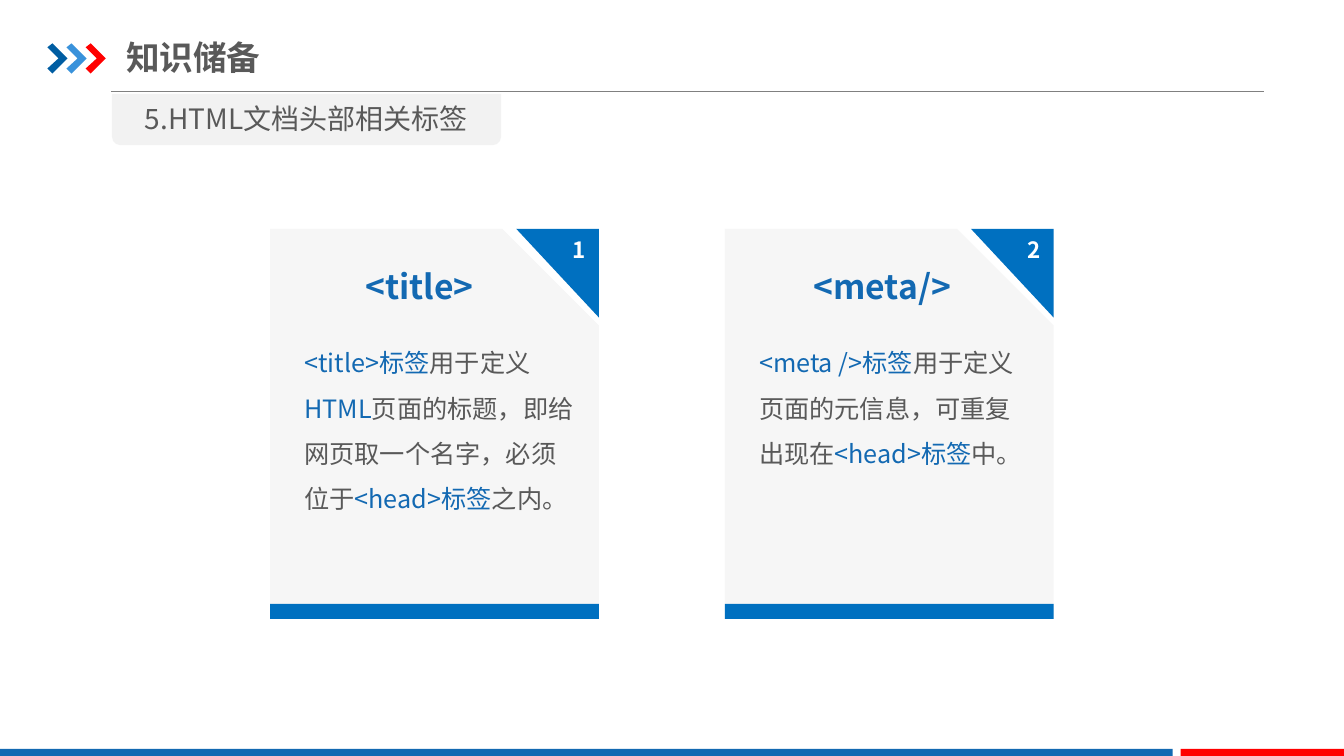
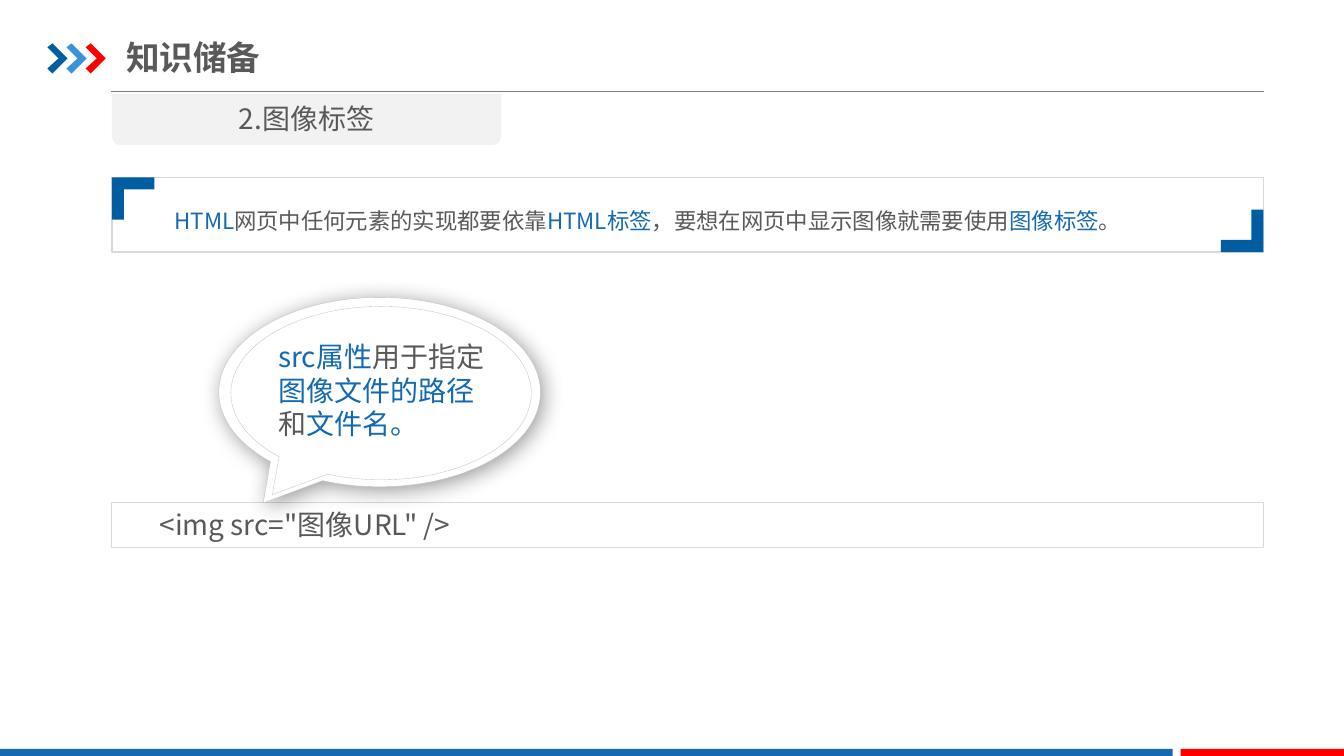
from dataclasses import dataclass
from itertools import cycle

from lxml.etree import SubElement
from pptx import Presentation
from pptx.dml.color import RGBColor as RGB
from pptx.enum.dml import MSO_LINE as DASH
from pptx.enum.shapes import MSO_CONNECTOR as CONN, MSO_SHAPE as SHAPE
from pptx.enum.text import MSO_ANCHOR as ANCHOR, PP_ALIGN as ALIGN
from pptx.oxml.ns import qn
from pptx.util import Inches, Pt


@dataclass(frozen=True)
class Theme:
    font: str = "Noto Sans CJK SC"
    ink: str = "595959"
    accent: str = "1369B2"
    navy: str = "005DA2"
    sky: str = "3992DB"
    red: str = "FF0000"
    card_blue: str = "0070C0"
    card_gray: str = "F6F6F6"
    tab_gray: str = "F2F2F2"
    rule: str = "808080"
    border: str = "D9D9D9"
    bubble_edge: str = "BFBFBF"
    white: str = "FFFFFF"
    title: int = 24
    heading: int = 20
    body: int = 18
    small: int = 16


T = Theme()
PAD = (0.1, 0.05, 0.1, 0.05)


# ---- Shared helpers ----
def put(obj, values):
    for name, value in values.items():
        setattr(obj, name, value)


def write(sp, text, size, colors=(T.ink,), bold=False, align=ALIGN.LEFT,
          spacing=1.0, anchor=ANCHOR.TOP, pad=PAD):
    """Fill a shape with one paragraph; '|' moves on to the next colour."""
    tf = sp.text_frame
    put(tf, {"word_wrap": True, "vertical_anchor": anchor})
    sides = ("margin_left", "margin_top", "margin_right", "margin_bottom")
    put(tf, dict(zip(sides, map(Inches, pad))))
    p = tf.paragraphs[0]
    put(p, {"alignment": align, "line_spacing": spacing})
    for part, color in zip(text.split("|"), cycle(colors)):
        r = p.add_run()
        r.text = part
        put(r.font, {"name": T.font, "size": Pt(size), "bold": bold})
        r.font.color.rgb = RGB.from_string(color)
        SubElement(r.font._element, qn("a:ea"), typeface=T.font)


def paint(sp, fill=None, line=None, width=0.75, dash=None):
    sp.shadow.inherit = False
    if fill:
        sp.fill.solid()
        sp.fill.fore_color.rgb = RGB.from_string(fill)
    else:
        sp.fill.background()
    if line:
        sp.line.color.rgb = RGB.from_string(line)
        put(sp.line, {"width": Pt(width), "dash_style": dash})
    else:
        sp.line.fill.background()
    return sp


def shape(shapes, kind, box, adj=(), **look):
    sp = shapes.add_shape(kind, *map(Inches, box))
    for i, value in enumerate(adj):
        sp.adjustments[i] = value
    return paint(sp, **look)


def outline(shapes, x, y, points, fill):
    """Closed polygon whose points are offsets from (x, y)."""
    pts = [(Inches(x + dx), Inches(y + dy)) for dx, dy in points]
    builder = shapes.build_freeform(*pts[0])
    builder.add_line_segments(pts[1:], close=True)
    return paint(builder.convert_to_shape(), fill)


def label(shapes, box, text, size, **style):
    write(shapes.add_textbox(*map(Inches, box)), text, size, **style)


# ---- Frame of every slide: title, rule, chevrons, footer, section tab ----
def add_slide(prs, title, section):
    s = prs.slides.add_slide(prs.slide_layouts[5])
    shapes = s.shapes

    # Title
    head = shapes.title
    box = map(Inches, (1.25, 0.29, 4.26, 0.55))
    put(head, dict(zip(("left", "top", "width", "height"), box)))
    write(head, title, T.title, bold=True, anchor=ANCHOR.MIDDLE,
          pad=(0, 0.07, 0, 0.07))

    # Rule under the title
    rule = shapes.add_connector(
        CONN.STRAIGHT, *map(Inches, (1.1, 0.91, 12.54, 0.91)))
    rule.line.color.rgb = RGB.from_string(T.rule)
    rule.line.width = Pt(0.75)
    SubElement(rule._element.spPr, qn("a:effectLst"))

    # Chevrons
    chevron = [(0, 0.04), (0.05, 0), (0.2, 0.15), (0.05, 0.3),
               (0, 0.25), (0.11, 0.15)]
    marks = shapes.add_group_shape().shapes
    for i, color in enumerate((T.navy, T.sky, T.red)):
        outline(marks, 0.47 + 0.19 * i, 0.43, chevron, color)

    # Footer band
    for left, width, color in ((0, 11.63, T.accent), (11.71, 1.63, T.red)):
        shape(shapes, SHAPE.RECTANGLE, (left, 7.43, width, 0.09), fill=color)

    # Section tab
    tab = shape(shapes, SHAPE.ROUND_2_SAME_RECTANGLE,
                (1.11, 0.93, 3.86, 0.51), fill=T.tab_gray)
    tab.rotation = 180
    label(shapes, (1.11, 0.96, 3.86, 0.44), section, T.heading,
          align=ALIGN.CENTER)
    return s


# ---- Regions ----
def add_card(shapes, box, number, tag, tag_left, text):
    x, y, w, h = box
    bar, fold_w, fold_h = 0.15, 0.82, 0.88
    shape(shapes, SHAPE.SNIP_1_RECTANGLE, box, adj=(0.294,), fill=T.card_gray)
    shape(shapes, SHAPE.RECTANGLE, (x, y + h - bar, w, bar), fill=T.card_blue)

    # Numbered corner
    corner = outline(shapes, x + w - fold_w, y,
                     [(fold_w, 0), (0, 0), (fold_w, fold_h)], T.card_blue)
    write(corner, number, T.small, colors=(T.white,), bold=True,
          align=ALIGN.RIGHT, pad=(0.13, 0.07, 0.13, 0.07))

    # Tag name and explanation
    label(shapes, (x + tag_left, y + 0.32, 2.4, 0.5), tag, T.title,
          colors=(T.accent,), bold=True, align=ALIGN.CENTER)
    label(shapes, (x + 0.24, y + 0.98, 2.89, 2.37), text, T.body,
          colors=(T.accent, T.ink), spacing=1.5)


def add_statement(shapes, box, text):
    x, y, w, h = box
    shape(shapes, SHAPE.RECTANGLE, box, line=T.border, width=1)
    label(shapes, (x + 0.62, y + 0.16, w - 1.05, 0.36), text, T.small,
          colors=(T.accent, T.ink), spacing=1.5, pad=(0, 0, 0, 0))

    # Corner brackets
    arm, thick = 0.42, 0.12
    bracket = [(0, 0), (arm, 0), (arm, thick), (thick, thick),
               (thick, arm), (0, arm)]
    for left, top, turn in ((x, y, 0), (x + w - arm, y + h - arm, 180)):
        outline(shapes, left, top, bracket, T.navy).rotation = turn


def add_code_bar(shapes, box, code):
    bar = shape(shapes, SHAPE.RECTANGLE, box, fill=T.white, line=T.border)
    write(bar, code, T.heading)


def add_bubble(shapes, box, text):
    x, y, w, h = box
    parts = shapes.add_group_shape().shapes
    look = {"adj": (-0.362, 0.585), "fill": T.white,
            "line": T.bubble_edge, "width": 0.25}
    outer = shape(parts, SHAPE.OVAL_CALLOUT, box, **look)
    shape(parts, SHAPE.OVAL_CALLOUT, (x + 0.12, y + 0.09, w - 0.21, h - 0.16),
          dash=DASH.SQUARE_DOT, **look)

    # Soft shadow of the outer bubble
    effects = outer._element.spPr.find(qn("a:effectLst"))
    shadow = SubElement(effects, qn("a:outerShdw"), blurRad=str(Pt(16)),
                        dist=str(Pt(3)), dir="2700000", algn="tl",
                        rotWithShape="0")
    color = SubElement(shadow, qn("a:srgbClr"), val="000000")
    SubElement(color, qn("a:alpha"), val="40000")

    label(parts, (x + 0.49, y + 0.37, 2.36, 1.11), text, T.heading,
          colors=(T.accent, T.ink))


# ---- Slides ----
def head_tags_slide(prs):
    shapes = add_slide(prs, "知识储备", "5.HTML文档头部相关标签").shapes
    cards = [
        ("<title>", 0.28, "<title>标签|用于定义|HTML|页面的标题，即给网页取一个"
                          "名字，必须位于|<head>标签|之内。"),
        ("<meta/>", 0.36, "<meta />标签|用于定义页面的元信息，可重复出现在|"
                          "<head>标签|中。"),
    ]
    for i, (tag, tag_left, text) in enumerate(cards):
        add_card(shapes, (2.68 + 4.51 * i, 2.27, 3.26, 3.87),
                 str(i + 1), tag, tag_left, text)


def image_tag_slide(prs):
    shapes = add_slide(prs, "知识储备", "2.图像标签").shapes
    add_statement(shapes, (1.11, 1.76, 11.42, 0.74),
                  "HTML|网页中任何元素的实现都要依靠|HTML标签|"
                  "，要想在网页中显示图像就需要使用|图像标签|。")
    add_code_bar(shapes, (1.11, 4.99, 11.42, 0.44),
                 '      <img src="图像URL" />')
    add_bubble(shapes, (2.17, 2.95, 3.19, 1.88),
               "src属性|用于指定|图像文件的路径|和|文件名。")


def main():
    prs = Presentation()
    put(prs, {"slide_width": Inches(13.33), "slide_height": Inches(7.5)})
    head_tags_slide(prs)
    image_tag_slide(prs)
    prs.save("out.pptx")


if __name__ == "__main__":
    main()
